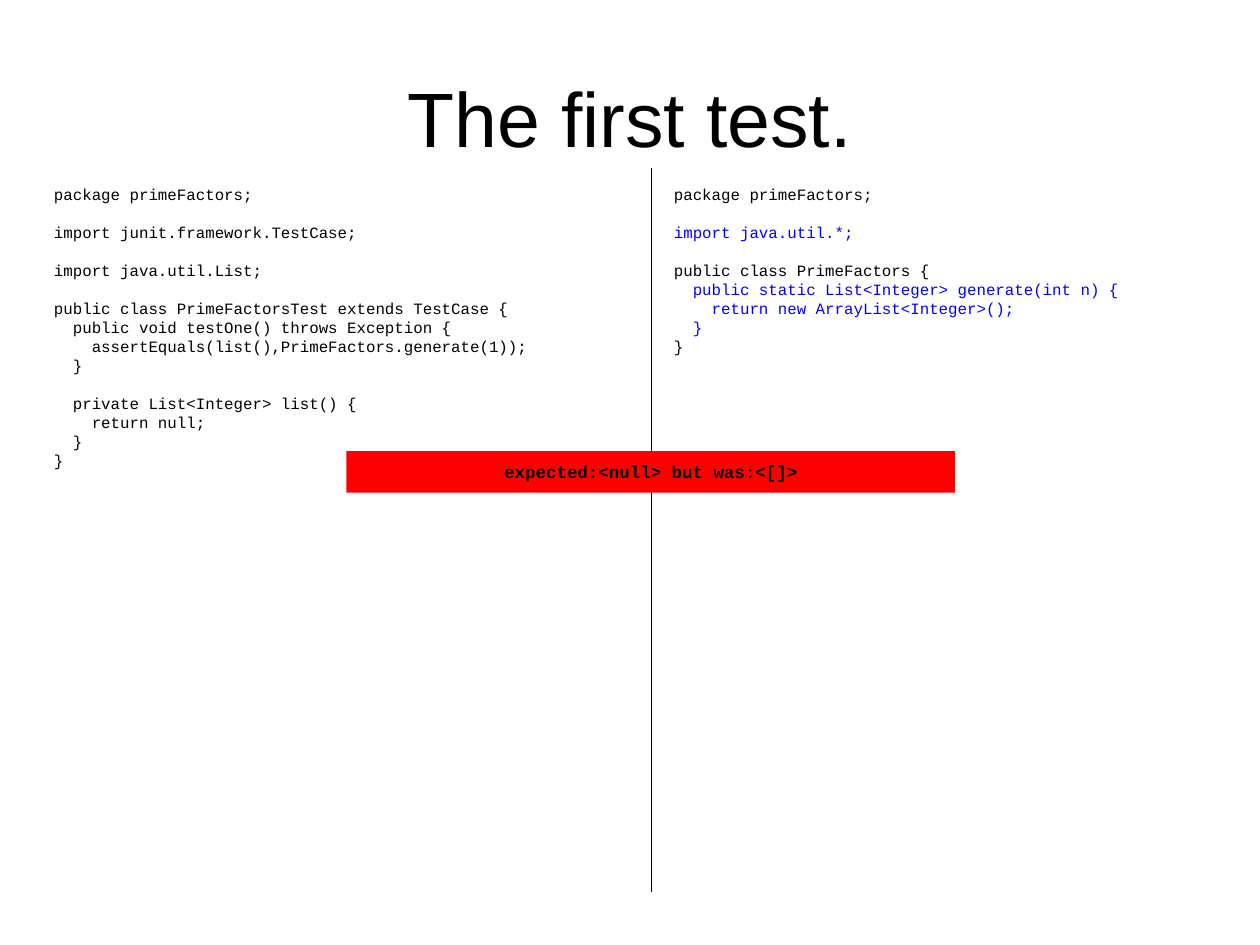
from pptx import Presentation
from pptx.dml.color import RGBColor
from pptx.enum.shapes import MSO_CONNECTOR as CONN, MSO_SHAPE as SHAPE
from pptx.enum.text import MSO_ANCHOR as ANCHOR, PP_ALIGN as ALIGN
from pptx.oxml.ns import qn
from pptx.util import Inches, Pt
from lxml.etree import SubElement

BLACK, BLUE, RED = "000000", "0000FF", "FF0000"
SANS, MONO = "Arial", "Courier New"
LINE_PITCH = Pt(10.85)

# Each block of code is a list of (line, colour); blocks have a blank line between
TEST_CODE = [
    [("package primeFactors;", BLACK)],
    [("import junit.framework.TestCase;", BLACK)],
    [("import java.util.List;", BLACK)],
    [("public class PrimeFactorsTest extends TestCase {", BLACK),
     ("  public void testOne() throws Exception {", BLACK),
     ("    assertEquals(list(),PrimeFactors.generate(1));", BLACK),
     ("  }", BLACK)],
    [("  private List<Integer> list() {", BLACK),
     ("    return null;", BLACK),
     ("  }", BLACK),
     ("}", BLACK)],
]
MAIN_CODE = [
    [("package primeFactors;", BLACK)],
    [("import java.util.*;", BLUE)],
    [("public class PrimeFactors {", BLACK),
     ("  public static List<Integer> generate(int n) {", BLUE),
     ("    return new ArrayList<Integer>();", BLUE),
     ("  }", BLUE),
     ("}", BLACK)],
]


def rgb(color):
    return RGBColor.from_string(color)


def add_run(p, text, font, size, color=BLACK, bold=False):
    r = p.add_run()
    r.text = text
    r.font.name = font
    r.font.size = Pt(size)
    r.font.bold = bold
    r.font.color.rgb = rgb(color)


def add_title(s, text, x, y, w, h):
    sp = s.shapes.add_textbox(Inches(x), Inches(y), Inches(w), Inches(h))
    tf = sp.text_frame
    tf.word_wrap = True
    tf.vertical_anchor = ANCHOR.MIDDLE
    p = tf.paragraphs[0]
    p.alignment = ALIGN.CENTER
    add_run(p, text, SANS, 44)


def add_code(s, blocks, x, y, w, h):
    sp = s.shapes.add_textbox(Inches(x), Inches(y), Inches(w), Inches(h))
    tf = sp.text_frame
    tf.word_wrap = True
    p = None
    for block in blocks:
        for i, (line, color) in enumerate(block):
            first = p is None
            p = tf.paragraphs[0] if first else tf.add_paragraph()
            p.line_spacing = LINE_PITCH
            if i == 0 and not first:
                p.space_before = LINE_PITCH
            add_run(p, line, MONO, 9, color)


def add_divider(s, x, top, bottom):
    line = s.shapes.add_connector(
        CONN.STRAIGHT, Inches(x), Inches(top), Inches(x), Inches(bottom))
    line.line.color.rgb = rgb(BLACK)
    line.line.width = Pt(0.75)
    SubElement(line._element.spPr, qn("a:effectLst"))


def add_banner(s, text, x, y, w, h):
    sp = s.shapes.add_shape(
        SHAPE.RECTANGLE, Inches(x), Inches(y), Inches(w), Inches(h))
    sp.shadow.inherit = False
    sp.fill.solid()
    sp.fill.fore_color.rgb = rgb(RED)
    sp.line.fill.background()
    tf = sp.text_frame
    tf.word_wrap = False
    tf.vertical_anchor = ANCHOR.MIDDLE
    p = tf.paragraphs[0]
    p.alignment = ALIGN.CENTER
    add_run(p, text, MONO, 10, bold=True)


def main():
    prs = Presentation()
    prs.slide_width, prs.slide_height = Inches(10), Inches(7.5)
    s = prs.slides.add_slide(prs.slide_layouts[6])

    add_title(s, "The first test.", 0.5, 0.3, 9, 1.25)

    # Test on the left, code under test on the right
    add_code(s, TEST_CODE, 0.33, 1.42, 4.42, 2.36)
    add_divider(s, 5.17, 1.33, 7.08)
    add_code(s, MAIN_CODE, 5.25, 1.42, 4.42, 1.46)

    # Failing test result
    add_banner(s, "expected:<null> but was:<[]>", 2.75, 3.58, 4.83, 0.33)

    prs.save("out.pptx")


if __name__ == "__main__":
    main()
